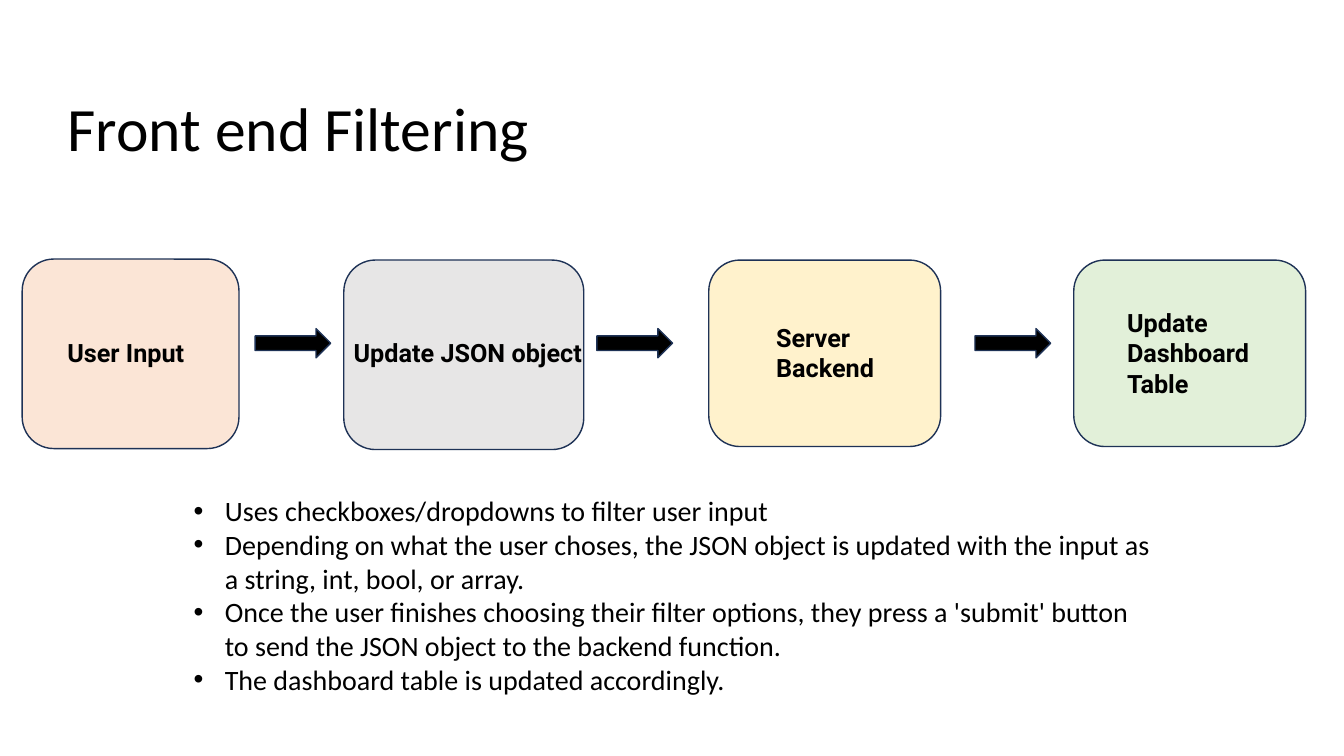
from lxml import etree
from pptx import Presentation
from pptx.dml.color import RGBColor
from pptx.enum.shapes import MSO_SHAPE
from pptx.enum.text import MSO_ANCHOR, MSO_AUTO_SIZE, PP_ALIGN
from pptx.oxml.ns import qn
from pptx.util import Inches, Pt

ROUNDED, ARROW = MSO_SHAPE.ROUNDED_RECTANGLE, MSO_SHAPE.RIGHT_ARROW
TOP, LEFT, NO_FIT = MSO_ANCHOR.TOP, PP_ALIGN.LEFT, MSO_AUTO_SIZE.NONE

BLACK = RGBColor(0x00, 0x00, 0x00)
NAVY = RGBColor(0x1E, 0x32, 0x56)
PEACH = RGBColor(0xFB, 0xE5, 0xD6)
GREY = RGBColor(0xE7, 0xE6, 0xE6)
CREAM = RGBColor(0xFF, 0xF2, 0xCC)
MINT = RGBColor(0xE2, 0xF0, 0xD9)

TITLE = "Front end Filtering\u00a0"
# label, fill, (left, top, width, height) of the step, (left, width, lines) of its label
STEPS = [
    ("User Input", PEACH, (0.22, 2.57, 2.15, 1.88), (0.57, 2.17, 1)),
    ("Update JSON object", GREY, (3.41, 2.58, 2.38, 1.88), (3.41, 3.0, 1)),
    ("Server\nBackend", CREAM, (7.03, 2.58, 2.3, 1.85), (7.6, 1.33, 2)),
    ("Update Dashboard Table", MINT, (10.65, 2.58, 2.3, 1.85), (11.08, 1.45, 3)),
]
ARROW_LEFTS = [2.53, 5.92, 9.67]
POINTS = [
    "Uses checkboxes/dropdowns to filter user input",
    "Depending on what the user choses, the JSON object is updated with the "
    "input as a string, int, bool, or array.",
    "Once the user finishes choosing their filter options, they press a 'submit' "
    "button to send the JSON object to the backend function.",
    "The dashboard table is updated accordingly.",
]

ARROW_TOP, ARROW_WIDTH, ARROW_HEIGHT = 3.26, 0.75, 0.29
LABEL_MIDDLE, LABEL_LINE, LABEL_PADDING = 3.5, 0.3, 0.1
BULLET_INDENT = 0.31


def place(shape, left, top, width, height):
    shape.left, shape.top = Inches(left), Inches(top)
    shape.width, shape.height = Inches(width), Inches(height)


def write(shape, *paragraphs, size, font="Calibri", bold=False, bullet=None):
    frame = shape.text_frame
    frame.word_wrap = True
    frame.auto_size = NO_FIT
    frame.vertical_anchor = TOP
    for index, text in enumerate(paragraphs):
        paragraph = frame.add_paragraph() if index else frame.paragraphs[0]
        paragraph.text = text
        paragraph.alignment = LEFT
        paragraph.space_before = Pt(0)
        if bullet:
            properties = paragraph._p.get_or_add_pPr()
            properties.set("marL", str(Inches(BULLET_INDENT)))
            properties.set("indent", str(-Inches(BULLET_INDENT)))
            etree.SubElement(properties, qn("a:buFont")).set("typeface", "Arial")
            etree.SubElement(properties, qn("a:buChar")).set("char", bullet)
        for run in paragraph.runs:
            run.font.name, run.font.size = font, Pt(size)
            run.font.bold, run.font.color.rgb = bold, BLACK


def add_block(slide, preset, box, fill):
    block = slide.shapes.add_shape(preset, *map(Inches, box))
    block.shadow.inherit = False
    block.fill.solid()
    block.fill.fore_color.rgb = fill
    block.line.color.rgb = NAVY
    block.line.width = Pt(1)


def main():
    deck = Presentation()
    deck.slide_width, deck.slide_height = Inches(13.33), Inches(7.5)
    slide = deck.slides.add_slide(deck.slide_layouts[1])

    title, body = slide.placeholders
    place(title, 0.57, 0.84, 5.66, 0.84)
    write(title, TITLE, size=44)
    place(body, 1.82, 4.85, 9.7, 2.6)
    write(body, *POINTS, size=20, bullet="•")

    for label, fill, box, (left, width, lines) in STEPS:
        add_block(slide, ROUNDED, box, fill)
        height = lines * LABEL_LINE + LABEL_PADDING
        top = LABEL_MIDDLE - height / 2
        caption = slide.shapes.add_textbox(*map(Inches, (left, top, width, height)))
        write(caption, label, size=18, font="Roboto", bold=True)

    for left in ARROW_LEFTS:
        add_block(slide, ARROW, (left, ARROW_TOP, ARROW_WIDTH, ARROW_HEIGHT), BLACK)

    deck.save("out.pptx")


if __name__ == "__main__":
    main()
